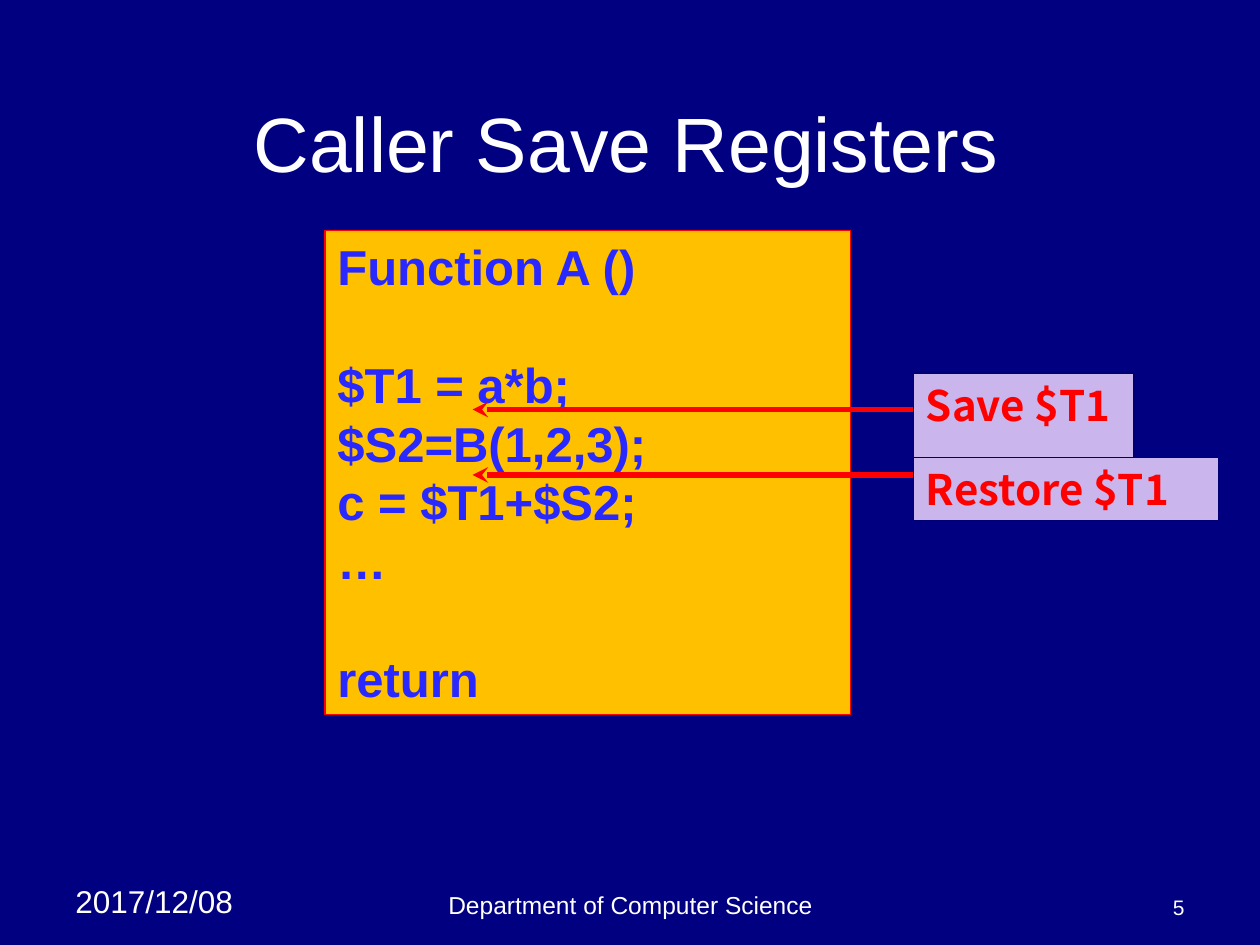
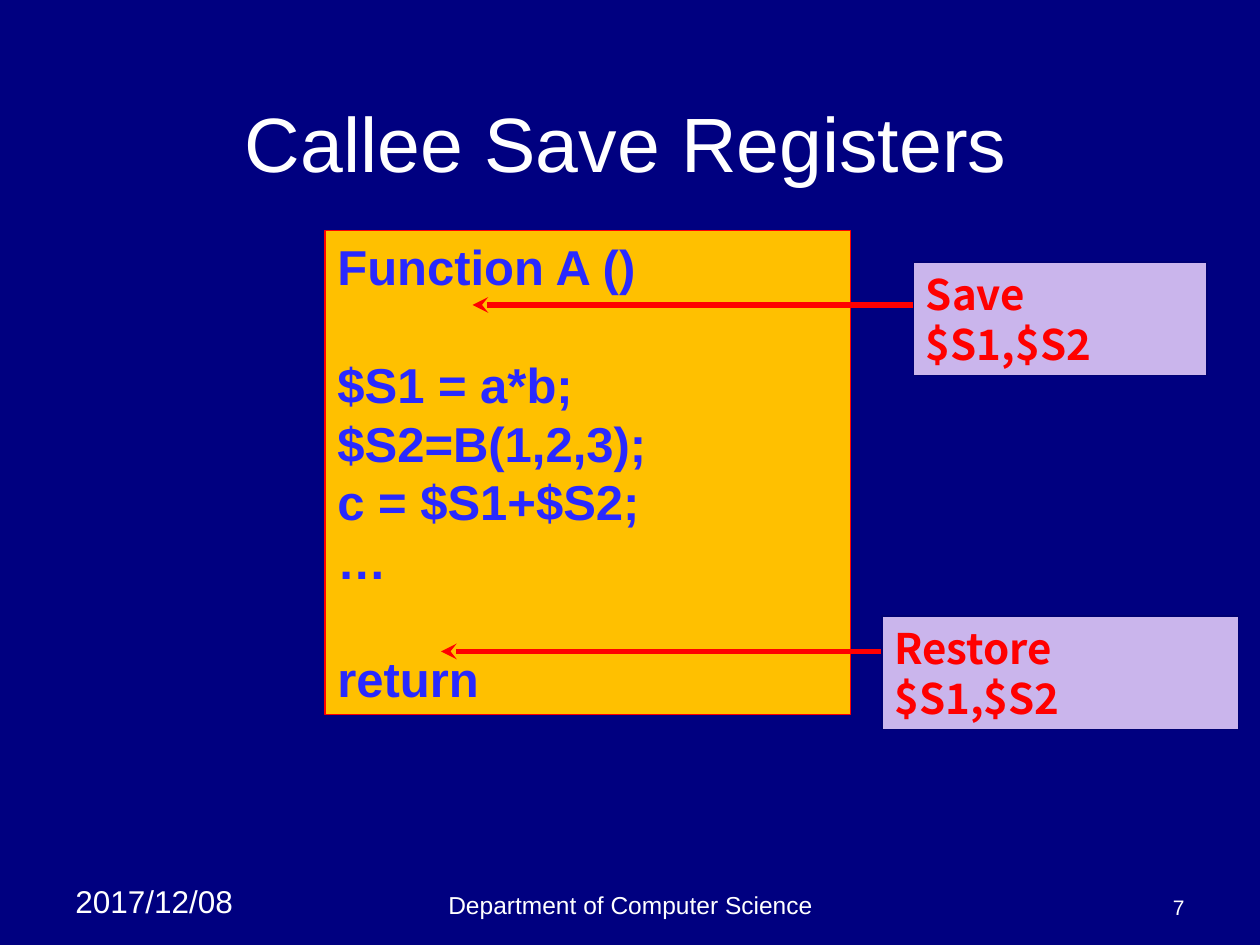
from lxml.etree import SubElement
from pptx import Presentation
from pptx.dml.color import RGBColor
from pptx.enum.shapes import MSO_CONNECTOR, MSO_SHAPE
from pptx.enum.text import MSO_ANCHOR, PP_ALIGN
from pptx.oxml.ns import qn
from pptx.util import Inches, Pt

NAVY = RGBColor(0x00, 0x00, 0x80)
WHITE = RGBColor(0xFF, 0xFF, 0xFF)
AMBER = RGBColor(0xFF, 0xC0, 0x00)
RED = RGBColor(0xFF, 0x00, 0x00)
CODE_BLUE = RGBColor(0x29, 0x29, 0xFF)
LILAC = RGBColor(0xCA, 0xB5, 0xEC)
DARK_NAVY = RGBColor(0x00, 0x00, 0x73)
BODY_FONT = "Arial"
NOTE_FONT = "Noto Sans CJK SC"

# Content: code groups are set apart by one line
# Each note: text, left, top, width, height, arrow height
SLIDES = [
    {
        "title": "Caller Save Registers",
        "number": "5",
        "code": [["Function A ()"],
                 ["$T1 = a*b;", "$S2=B(1,2,3);", "c = $T1+$S2;", "…"],
                 ["return"]],
        "notes": [("Save $T1", 7.25, 2.96, 1.75, 0.9, 3.25),
                  ("Restore $T1", 7.25, 3.63, 2.42, 0.5, 3.77)],
    },
    {
        "title": "Callee Save Registers",
        "number": "7",
        "code": [["Function A ()"],
                 ["$S1 = a*b;", "$S2=B(1,2,3);", "c = $S1+$S2;", "…"],
                 ["return"]],
        "notes": [("Save $S1,$S2", 7.25, 2.08, 2.33, 0.9, 2.42),
                  ("Restore $S1,$S2", 7, 4.89, 2.83, 0.9, 5.17)],
    },
]
DATE = "2017/12/08"
DEPARTMENT = "Department of Computer Science"

# Shared geometry, in inches
TITLE_BOX = (0.72, 0.5, 8.5, 1.25)
CODE_BOX = (2.58, 1.83, 4.17, 3.84)
DATE_BOX = (0.5, 6.95, 1.58, 0.4)
DEPARTMENT_BOX = (3.42, 6.83, 3.17, 0.52)
NUMBER_BOX = (7.17, 6.83, 2.33, 0.52)
ARROW_LENGTH = 3.5
LEADING = 1.2


def style(p, size, color, font=BODY_FONT, bold=False, align=PP_ALIGN.LEFT):
    p.alignment = align
    for r in p.runs:
        r.font.name = font
        r.font.size = Pt(size)
        r.font.bold = bold
        r.font.color.rgb = color


def add_title(s, text):
    sp = s.shapes.title
    sp.left, sp.top, sp.width, sp.height = map(Inches, TITLE_BOX)
    tf = sp.text_frame
    tf.text = text
    tf.vertical_anchor = MSO_ANCHOR.MIDDLE
    style(tf.paragraphs[0], 44, WHITE, align=PP_ALIGN.CENTER)


def add_footer(s, text, box, size, align, anchor):
    tf = s.shapes.add_textbox(*map(Inches, box)).text_frame
    tf.word_wrap = True
    tf.vertical_anchor = anchor
    tf.text = text
    style(tf.paragraphs[0], size, WHITE, align=align)


def add_box(s, box, fill, line):
    sp = s.shapes.add_shape(MSO_SHAPE.RECTANGLE, *map(Inches, box))
    sp.shadow.inherit = False
    sp.fill.solid()
    sp.fill.fore_color.rgb = fill
    sp.line.color.rgb = line
    sp.line.width = Pt(0.75)
    tf = sp.text_frame
    tf.word_wrap = True
    tf.vertical_anchor = MSO_ANCHOR.TOP
    return tf


def add_code(s, groups):
    size = 28
    tf = add_box(s, CODE_BOX, AMBER, RED)
    tf.text = "\n".join(line for group in groups for line in group)
    paragraphs = iter(tf.paragraphs)
    for g, group in enumerate(groups):
        for i in range(len(group)):
            p = next(paragraphs)
            p.line_spacing = Pt(size * LEADING)
            if g and i == 0:
                p.space_before = Pt(size * LEADING)
            style(p, size, CODE_BLUE, bold=True)


def add_arrow(s, x, y):
    cxn = s.shapes.add_connector(MSO_CONNECTOR.STRAIGHT, Inches(x), Inches(y),
                                 Inches(x - ARROW_LENGTH), Inches(y))
    cxn.line.color.rgb = RED
    cxn.line.width = Pt(3)
    SubElement(cxn.line._get_or_add_ln(), qn("a:tailEnd"), type="stealth")
    SubElement(cxn._element.spPr, qn("a:effectLst"))


def add_note(s, text, left, top, width, height, arrow_y):
    size = 24
    add_arrow(s, left, arrow_y)
    tf = add_box(s, (left, top, width, height), LILAC, DARK_NAVY)
    tf.margin_right = Inches(0.15)
    tf.text = text
    p = tf.paragraphs[0]
    p.line_spacing = Pt(size * LEADING)
    style(p, size, RED, NOTE_FONT, bold=True)


def main():
    prs = Presentation()
    prs.slide_width, prs.slide_height = Inches(10), Inches(7.5)
    background = prs.slide_master.background.fill
    background.solid()
    background.fore_color.rgb = NAVY

    for content in SLIDES:
        s = prs.slides.add_slide(prs.slide_layouts[5])
        # Title and footers
        add_title(s, content["title"])
        add_footer(s, DATE, DATE_BOX, 18, PP_ALIGN.LEFT, MSO_ANCHOR.TOP)
        add_footer(s, DEPARTMENT, DEPARTMENT_BOX, 14, PP_ALIGN.CENTER,
                   MSO_ANCHOR.BOTTOM)
        add_footer(s, content["number"], NUMBER_BOX, 12, PP_ALIGN.RIGHT,
                   MSO_ANCHOR.BOTTOM)
        # Code with its save and restore points
        add_code(s, content["code"])
        for note in content["notes"]:
            add_note(s, *note)

    prs.save("out.pptx")


if __name__ == "__main__":
    main()
